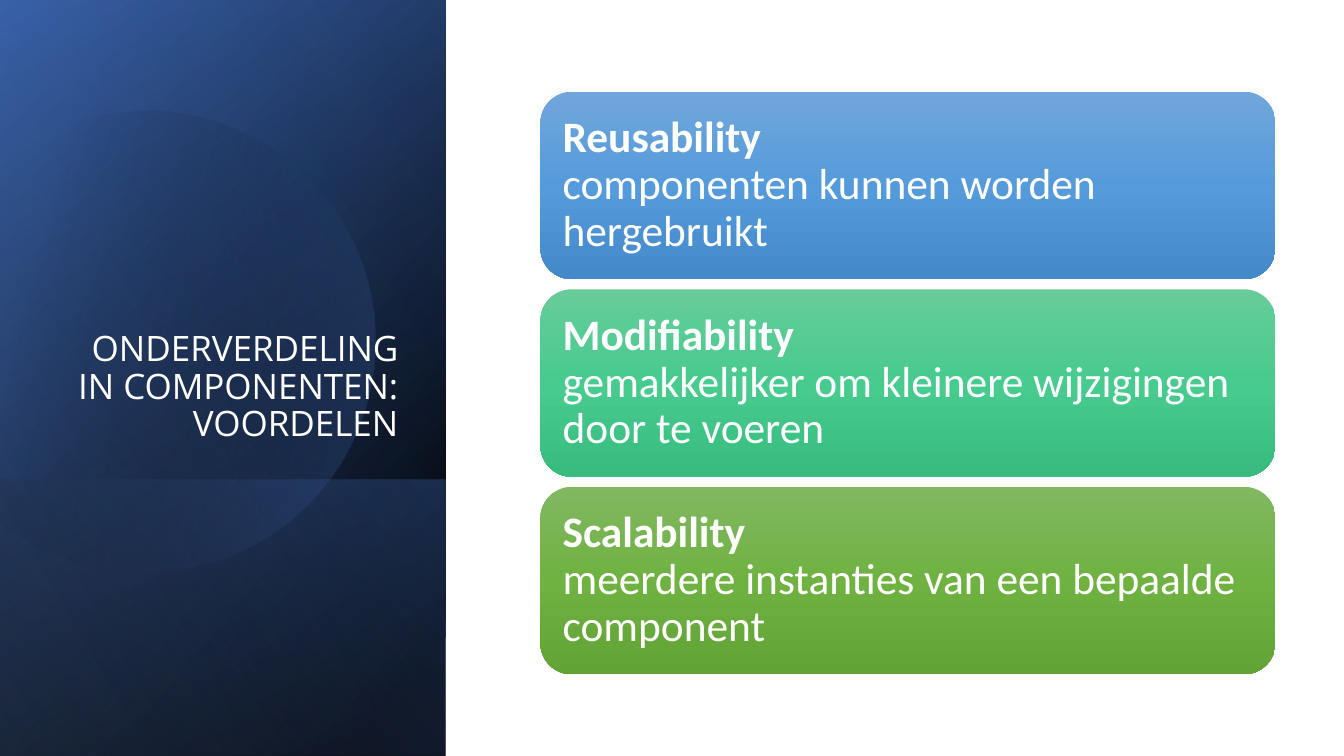
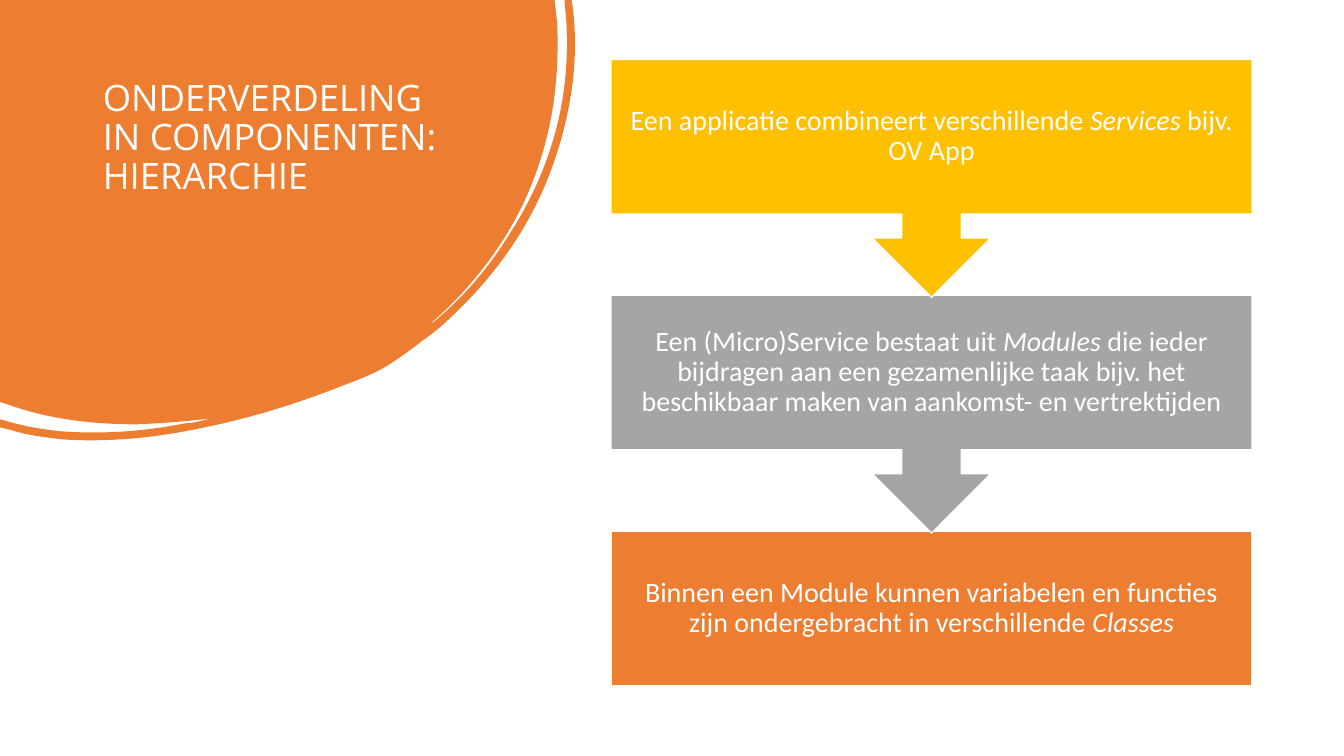
from lxml.etree import SubElement
from pptx import Presentation
from pptx.dml.color import RGBColor
from pptx.enum.shapes import MSO_SHAPE
from pptx.enum.text import MSO_ANCHOR, MSO_AUTO_SIZE, PP_ALIGN
from pptx.oxml.ns import qn
from pptx.util import Inches, Pt

COLORS = {
    "white": "FFFFFF",
    "black": "000000",
    "navy": "2F5597",
    "blue": "4472C4",
    "pale_blue": "8FAADC",
    "orange": "ED7D31",
    "grey": "A5A5A5",
    "gold": "FFC000",
    "sky_top": "71A6DB",
    "sky_middle": "559BDB",
    "sky_bottom": "448ACA",
    "mint_top": "67CC9A",
    "mint_middle": "47CB8E",
    "mint_bottom": "39BB7F",
    "leaf_top": "81B861",
    "leaf_middle": "6FB242",
    "leaf_bottom": "62A336",
}
TITLE_FONT = "Open Sans"
BODY_FONT = "Calibri"
LINE_SPACING = 0.9

PANEL_WIDTH = 4.42
PANEL_LAYERS = [
    (0, 7.5, 220, [(8, "black", 100), (100, "navy", 100)]),
    (0, 7.5, 240, [(0, "black", 0), (99, "blue", 46)]),
    (4.76, 2.74, 140, [(2, "blue", 29), (100, "black", 30)]),
]
PANEL_SHEEN = (0, 7.5, 150, [(0, "black", 0), (99, "pale_blue", 11)])
PANEL_DISC = [
    (2.12, 1.16),
    (3.04, 1.45, 3.72, 2.32, 3.72, 3.34),
    (3.71, 4.61, 2.69, 5.63, 1.43, 5.63),
    (0.64, 5.63, -0.06, 5.23, -0.46, 4.62),
    (-0.55, 4.48), (0.36, 1.33), (0.54, 1.24),
    (0.82, 1.12, 1.11, 1.06, 1.43, 1.06),
    (1.67, 1.06, 1.89, 1.1, 2.12, 1.16),
]
BLOB = [
    (0, 0), (5.5, 0), (5.52, 0.17),
    (5.53, 0.26, 5.53, 0.36, 5.53, 0.45),
    (5.53, 1.01, 5.42, 1.54, 5.18, 2.04),
    (4.96, 2.49, 4.65, 2.88, 4.27, 3.21),
    (4.29, 3.21, 4.3, 3.19, 4.32, 3.18),
    (4.59, 2.95, 4.82, 2.69, 5.01, 2.39),
    (5.43, 1.76, 5.65, 1.07, 5.62, 0.3),
    (5.62, 0.21, 5.61, 0.12, 5.6, 0.03),
    (5.6, 0), (5.67, 0), (5.68, 0.07),
    (5.74, 0.54, 5.68, 1.02, 5.53, 1.5),
    (5.33, 2.14, 4.97, 2.68, 4.48, 3.14),
    (4.39, 3.23, 4.29, 3.31, 4.19, 3.38),
    (4.09, 3.46, 3.99, 3.53, 3.87, 3.61),
    (3.75, 3.69, 3.6, 3.75, 3.44, 3.81),
    (2.99, 3.99, 2.52, 4.14, 2.03, 4.24),
    (1.57, 4.34, 1.1, 4.39, 0.63, 4.36),
    (0.45, 4.34, 0.28, 4.32, 0.12, 4.27),
    (0, 4.24), (0, 4.16), (0.04, 4.17),
    (0.23, 4.23, 0.42, 4.26, 0.61, 4.28),
    (1.03, 4.31, 1.43, 4.28, 1.84, 4.2),
    (1.89, 4.2, 1.93, 4.19, 1.98, 4.18),
    (2.02, 4.17, 2.06, 4.16, 2.1, 4.15),
    (1.86, 4.18, 1.61, 4.2, 1.36, 4.21),
    (0.92, 4.21, 0.48, 4.16, 0.07, 4.01),
    (0, 3.99),
]
BENEFITS = [
    ("Reusability", "componenten kunnen worden hergebruikt", "sky"),
    ("Modifiability", "gemakkelijker om kleinere wijzigingen door te voeren", "mint"),
    ("Scalability", "meerdere instanties van een bepaalde component", "leaf"),
]
LEVELS = [
    ("gold", [
        ("Een applicatie combineert verschillende ", ""),
        ("Services", "italic"),
        (" bijv. OV App", ""),
    ]),
    ("grey", [
        ("Een (Micro)Service bestaat uit ", ""),
        ("Modules", "italic"),
        (" die ieder bijdragen aan een gezamenlijke taak bijv. het "
         "beschikbaar maken van aankomst- en vertrektijden", ""),
    ]),
    ("orange", [
        ("Binnen een Module kunnen variabelen en functies zijn "
         "ondergebracht in verschillende ", ""),
        ("Classes", "italic"),
    ]),
]


def rgb(color):
    """Return the named colour."""
    return RGBColor.from_string(COLORS[color])


def fill_gradient(shape, angle, stops):
    """Fill with (position, colour, opacity) stops along a clockwise angle."""
    shape.fill.gradient()
    gradient = shape.element.spPr.find(qn("a:gradFill"))
    gradient.find(qn("a:lin")).set("ang", str(angle * 60000))
    stop_list = gradient.find(qn("a:gsLst"))
    stop_list.clear()
    for position, color, opacity in stops:
        stop = SubElement(stop_list, qn("a:gs"), pos=str(position * 1000))
        value = SubElement(stop, qn("a:srgbClr"), val=COLORS[color])
        if opacity < 100:
            SubElement(value, qn("a:alpha"), val=str(opacity * 1000))


def add_block(slide, preset, left, top, width, height):
    """Add a preset shape without outline or shadow."""
    block = slide.shapes.add_shape(
        preset, Inches(left), Inches(top), Inches(width), Inches(height))
    block.shadow.inherit = False
    block.line.fill.background()
    return block


def bend_segments(area, outline):
    """Turn the straight segments that have control points into curves."""
    segments = list(area.element.iter(qn("a:lnTo")))
    for numbers, segment in zip(outline[1:], segments):
        if len(numbers) == 2:
            continue
        segment.tag = qn("a:cubicBezTo")
        end = segment[0]
        for x, y in (numbers[:2], numbers[2:4]):
            control = SubElement(segment, qn("a:pt"))
            control.set("x", str(Inches(x) - area.left))
            control.set("y", str(Inches(y) - area.top))
        segment.append(end)


def add_outline(slide, outline):
    """Add a closed curved outline without line or shadow."""
    start, *rest = [(Inches(numbers[-2]), Inches(numbers[-1])) for numbers in outline]
    builder = slide.shapes.build_freeform(*start)
    builder.add_line_segments(rest, close=True)
    area = builder.convert_to_shape()
    bend_segments(area, outline)
    area.shadow.inherit = False
    area.line.fill.background()
    return area


def write_runs(frame, runs, font, size, align, anchor):
    """Write (text, style) runs in white as the frame's only paragraph."""
    frame.word_wrap = True
    frame.auto_size = MSO_AUTO_SIZE.NONE
    frame.vertical_anchor = anchor
    paragraph = frame.paragraphs[0]
    paragraph.alignment = align
    paragraph.line_spacing = LINE_SPACING
    for text, style in runs:
        if text == "\n":
            paragraph.add_line_break()
            continue
        run = paragraph.add_run()
        run.text = text
        run.font.name = font
        run.font.size = Pt(size)
        run.font.bold = style == "bold"
        run.font.italic = style == "italic"
        run.font.color.rgb = rgb("white")


def set_margins(frame, margin):
    """Give the frame the same margin on every side."""
    frame.margin_left = frame.margin_right = Inches(margin)
    frame.margin_top = frame.margin_bottom = Inches(margin)


def place_title(slide, text, box, size, align, anchor):
    """Move and fill the title placeholder, in front of what is drawn so far."""
    title = slide.shapes.title
    title.left, title.top, title.width, title.height = map(Inches, box)
    write_runs(title.text_frame, [(text, "")], TITLE_FONT, size, align, anchor)
    slide.shapes.element.append(title.element)


def add_panel_layer(slide, top, height, angle, stops):
    """Add one gradient layer of the left panel."""
    layer = add_block(slide, MSO_SHAPE.RECTANGLE, 0, top, PANEL_WIDTH, height)
    fill_gradient(layer, angle, stops)


def add_benefit(slide, top, heading, explanation, hue):
    """Add a rounded card with a bold heading and its explanation."""
    card = add_block(slide, MSO_SHAPE.ROUNDED_RECTANGLE, 5.36, top, 7.29, 1.86)
    fill_gradient(card, 90, [
        (0, f"{hue}_top", 100), (50, f"{hue}_middle", 100), (100, f"{hue}_bottom", 100)])
    set_margins(card.text_frame, 0.13)
    runs = [(heading, "bold"), ("\n", ""), (explanation, "")]
    write_runs(card.text_frame, runs, BODY_FONT, 31, PP_ALIGN.LEFT, MSO_ANCHOR.MIDDLE)


def add_level(slide, preset, top, height, color, runs):
    """Add one level of the hierarchy."""
    level = add_block(slide, preset, 6.06, top, 6.36, height)
    level.fill.solid()
    level.fill.fore_color.rgb = rgb(color)
    level.line.color.rgb = rgb("white")
    level.line.width = Pt(1)
    set_margins(level.text_frame, 0.16)
    write_runs(level.text_frame, runs, BODY_FONT, 20, PP_ALIGN.CENTER, MSO_ANCHOR.MIDDLE)


def build_benefits(slide):
    """Build the slide with the benefits of components."""
    for layer in PANEL_LAYERS:
        add_panel_layer(slide, *layer)
    disc = add_outline(slide, PANEL_DISC)
    disc.rotation = 343.9
    fill_gradient(disc, 30, [(29, "black", 0), (100, "blue", 43)])
    add_panel_layer(slide, *PANEL_SHEEN)
    place_title(slide, "ONDERVERDELING IN COMPONENTEN: VOORDELEN",
                (0.64, 1.84, 3.41, 2.62), 25, PP_ALIGN.RIGHT, MSO_ANCHOR.BOTTOM)
    for index, benefit in enumerate(BENEFITS):
        add_benefit(slide, 0.91 + index * 1.96, *benefit)


def build_hierarchy(slide):
    """Build the slide with the hierarchy, lowest level at the back."""
    blob = add_outline(slide, BLOB)
    blob.fill.solid()
    blob.fill.fore_color.rgb = rgb("orange")
    place_title(slide, "ONDERVERDELING IN COMPONENTEN: HIERARCHIE",
                (0.92, 0.74, 3.52, 2.22), 26, PP_ALIGN.LEFT, MSO_ANCHOR.TOP)
    last = len(LEVELS) - 1
    for index, (color, runs) in reversed(list(enumerate(LEVELS))):
        preset, height = MSO_SHAPE.DOWN_ARROW_CALLOUT, 2.36
        if index == last:
            preset, height = MSO_SHAPE.RECTANGLE, 1.53
        add_level(slide, preset, 0.59 + index * 2.34, height, color, runs)


def main():
    """Build and save the presentation."""
    presentation = Presentation()
    presentation.slide_width = Inches(13.33)
    presentation.slide_height = Inches(7.5)
    title_only = presentation.slide_layouts[5]
    for build in (build_benefits, build_hierarchy):
        build(presentation.slides.add_slide(title_only))
    presentation.save("out.pptx")


if __name__ == "__main__":
    main()
